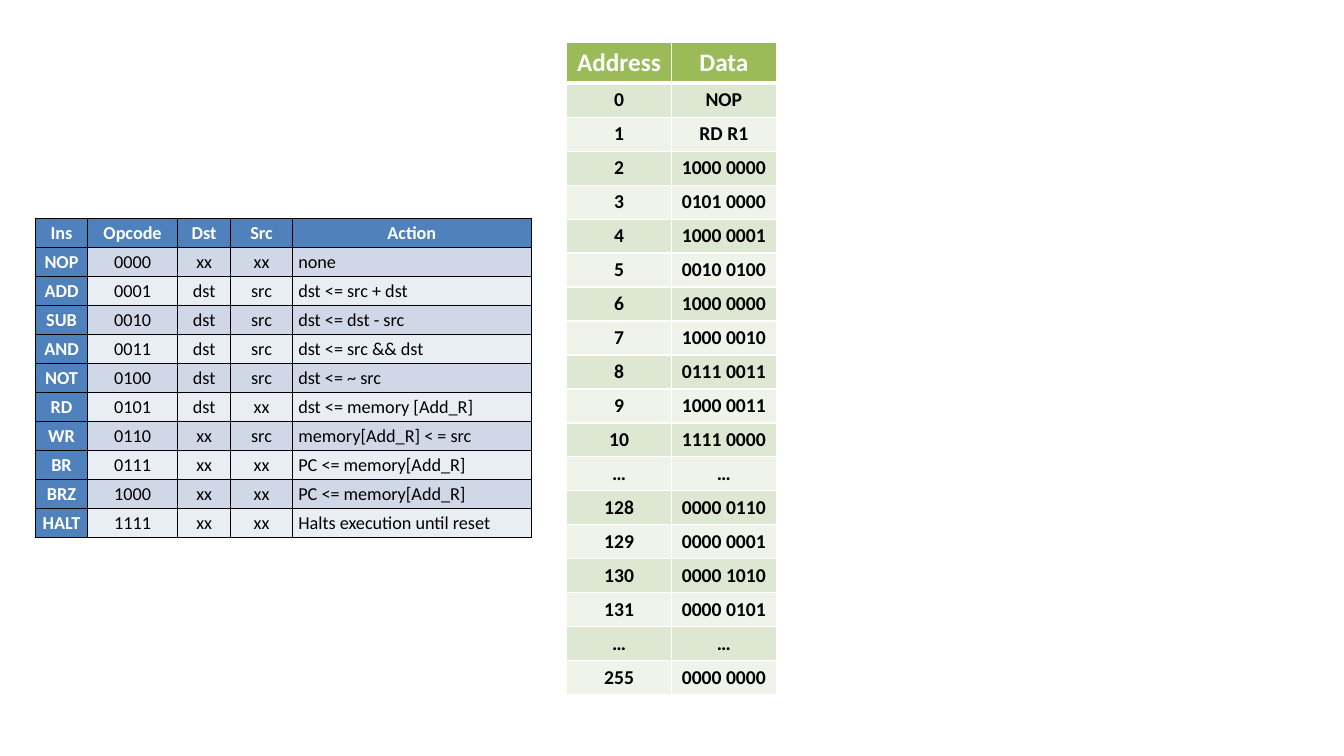
"""Build a slide with an instruction set table and a memory listing."""
from lxml import etree
from pptx import Presentation
from pptx.dml.color import RGBColor
from pptx.enum import text
from pptx.oxml import ns
from pptx.util import Inches, Pt

COLOURS = {
    "white": "FFFFFF", "black": "000000",
    "green": "9BBB59", "green_dark": "DEE7D1", "green_light": "EFF3EA",
    "blue": "4F81BD", "blue_dark": "D0D8E8", "blue_light": "E9EDF4",
}
MEMORY = [
    ("Address", "Data"),
    ("0", "NOP"), ("1", "RD R1"), ("2", "1000 0000"), ("3", "0101 0000"),
    ("4", "1000 0001"), ("5", "0010 0100"), ("6", "1000 0000"),
    ("7", "1000 0010"), ("8", "0111 0011"), ("9", "1000 0011"),
    ("10", "1111 0000"), ("…", "…"), ("128", "0000 0110"),
    ("129", "0000 0001"), ("130", "0000 1010"), ("131", "0000 0101"),
    ("…", "…"), ("255", "0000 0000"),
]
INSTRUCTIONS = [
    ("Ins", "Opcode", "Dst", "Src", "Action"),
    ("NOP", "0000", "xx", "xx", "none"),
    ("ADD", "0001", "dst", "src", "dst <= src + dst"),
    ("SUB", "0010", "dst", "src", "dst <= dst - src"),
    ("AND", "0011", "dst", "src", "dst <= src && dst"),
    ("NOT", "0100", "dst", "src", "dst <= ~ src"),
    ("RD", "0101", "dst", "xx", "dst <= memory [Add_R]"),
    ("WR", "0110", "xx", "src", "memory[Add_R] < = src"),
    ("BR", "0111", "xx", "xx", "PC <= memory[Add_R]"),
    ("BRZ", "1000", "xx", "xx", "PC <= memory[Add_R]"),
    ("HALT", "1111", "xx", "xx", "Halts execution until reset"),
]


def colour(name):
    return RGBColor.from_string(COLOURS[name])


def set_borders(cell, name, **widths):
    properties = cell._tc.get_or_add_tcPr()
    for index, side in enumerate("LRTB"):
        width = Pt(widths.get(side, 1))
        line = etree.Element(ns.qn(f"a:ln{side}"), w=str(width))
        fill = etree.SubElement(line, ns.qn("a:solidFill"))
        etree.SubElement(fill, ns.qn("a:srgbClr"), val=COLOURS[name])
        properties.insert(index, line)


def write_cell(cell, words, fill, ink, size, bold, centred=True):
    cell.fill.solid()
    cell.fill.fore_color.rgb = colour(fill)
    para = cell.text_frame.paragraphs[0]
    para.alignment = text.PP_ALIGN.CENTER if centred else text.PP_ALIGN.LEFT
    span = para.add_run()
    span.text = words
    span.font.name = "Calibri"
    span.font.size = Pt(size)
    span.font.bold = bold
    span.font.color.rgb = colour(ink)


def add_grid(page, rows, left, top, height, widths, row_height):
    frame = page.shapes.add_table(
        len(rows), len(widths), Inches(left), Inches(top),
        Inches(sum(widths)), Inches(height))
    grid = frame.table
    grid.first_row = grid.horz_banding = False
    for column, width in zip(grid.columns, widths):
        column.width = Inches(width)
    for row in grid.rows:
        row.height = Inches(row_height)
    frame.height = Inches(height)
    return grid


def band(hue, row):
    return f"{hue}_dark" if row % 2 else f"{hue}_light"


def add_memory(page):
    grid = add_grid(page, MEMORY, 5.62, 0.42, 6.4, [1.04] * 2, 0.26)
    for row, record in enumerate(MEMORY):
        for column, words in enumerate(record):
            cell = grid.cell(row, column)
            if row == 0:
                write_cell(cell, words, "green", "white", 18, True)
            else:
                write_cell(cell, words, band("green", row), "black", 14, True)
            set_borders(cell, "white", T=3 if row == 1 else 1,
                        B=3 if row == 0 else 1)


def add_instructions(page):
    widths = [0.52, 0.89, 0.53, 0.61, 2.37]
    grid = add_grid(page, INSTRUCTIONS, 0.35, 2.17, 3.17, widths, 0.288)
    for row, record in enumerate(INSTRUCTIONS):
        for column, words in enumerate(record):
            cell = grid.cell(row, column)
            cell.margin_left = cell.margin_right = Inches(0.06)
            cell.margin_top = cell.margin_bottom = 0
            cell.vertical_anchor = text.MSO_ANCHOR.MIDDLE
            if row == 0 or column == 0:
                write_cell(cell, words, "blue", "white", 13, True)
            else:
                write_cell(cell, words, band("blue", row), "black", 13, False,
                           centred=column < 4)
            set_borders(cell, "black")


def main():
    deck = Presentation()
    deck.slide_width, deck.slide_height = Inches(13.33), Inches(7.5)
    page = deck.slides.add_slide(deck.slide_layouts[6])
    add_memory(page)
    add_instructions(page)
    deck.save("out.pptx")


if __name__ == "__main__":
    main()
